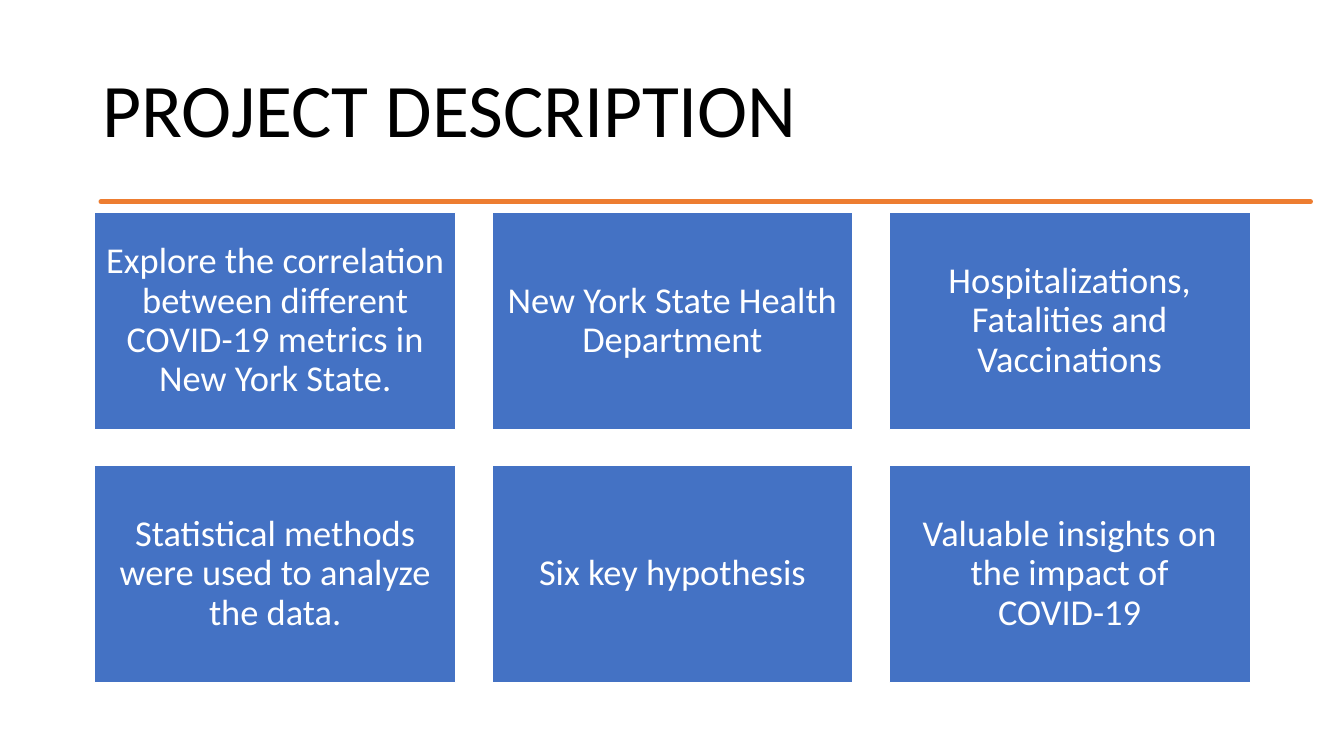
from pptx import Presentation
from pptx.dml.color import RGBColor
from pptx.enum.shapes import MSO_SHAPE
from pptx.enum.text import MSO_ANCHOR, PP_ALIGN
from pptx.util import Inches, Pt

TITLE = "PROJECT DESCRIPTION"
TOPICS = [
    ["Explore the correlation between different COVID-19 metrics in New York State.",
     "New York State Health Department",
     "Hospitalizations, Fatalities and Vaccinations"],
    ["Statistical methods were used to analyze the data.",
     "Six key hypothesis",
     "Valuable insights on the impact of COVID-19"],
]
COLORS = {"title": "000000", "tile": "4472C4", "tile_text": "FFFFFF",
          "tile_edge": "FFFFFF", "stroke": "ED7D31"}

SLIDE_W, SLIDE_H = 13.33, 7.5
TITLE_BOX = (0.92, 0.4, 11.5, 1.45)
GRID_LEFT, GRID_TOP = 0.94, 2.11
TILE_W, TILE_H = 3.58, 2.15
GAP = 0.36
TILE_INSET = 0.11

# Hand-drawn rule: (x, height in hundredths of an inch) along each edge
STROKE_Y = 1.83
UPPER_EDGE = [(0.73, 0), (1.0, -1), (1.24, 0), (1.98, 0), (2.4, -1), (3.4, 0),
              (4.15, -2), (4.5, -1), (4.85, 1), (5.2, 0), (5.55, -1), (5.9, 0),
              (6.46, 0), (7.1, -1), (7.44, 0), (7.75, 1), (8.3, -1.5), (8.7, 0),
              (9.2, -1), (9.75, 0), (10.3, -1), (10.9, 0), (11.6, -1), (12.6, 0)]
LOWER_EDGE = [(12.6, 2), (12.2, 3), (11.5, 2), (10.85, 4.5), (10.4, 3), (9.99, 2),
              (9.65, 3), (8.63, 2), (8.0, 2), (7.5, 3.5), (7.0, 2), (6.5, 3),
              (5.9, 2), (5.15, 3), (4.8, 3), (4.4, 3), (4.14, 2), (3.7, 3),
              (3.28, 2), (2.78, 2), (2.2, 4), (1.8, 2), (1.3, 1), (0.73, 2)]


def rgb(name):
    return RGBColor.from_string(COLORS[name])


def write(shape, text, size, color, align, inset):
    frame = shape.text_frame
    layout = {"word_wrap": True, "vertical_anchor": MSO_ANCHOR.MIDDLE,
              "margin_left": Inches(inset), "margin_right": Inches(inset),
              "margin_top": Inches(inset), "margin_bottom": Inches(inset)}
    for key, value in layout.items():
        setattr(frame, key, value)
    paragraph = frame.paragraphs[0]
    paragraph.text = text
    paragraph.alignment = align
    paragraph.line_spacing = 0.9
    paragraph.font.color.rgb = rgb(color)
    for key, value in {"name": "Calibri", "size": Pt(size)}.items():
        setattr(paragraph.font, key, value)


def paint(shape, fill, edge, width):
    shape.shadow.inherit = False
    shape.fill.solid()
    shape.fill.fore_color.rgb = rgb(fill)
    shape.line.color.rgb = rgb(edge)
    shape.line.width = Pt(width)


def add_stroke(slide):
    start, *rest = [(x, STROKE_Y + rise / 100) for x, rise in UPPER_EDGE + LOWER_EDGE]
    builder = slide.shapes.build_freeform(*start, scale=Inches(1))
    builder.add_line_segments(rest, close=True)
    paint(builder.convert_to_shape(), "stroke", "stroke", 3.25)


def add_tile(slide, row, column, topic):
    left = GRID_LEFT + column * (TILE_W + GAP)
    top = GRID_TOP + row * (TILE_H + GAP)
    tile = slide.shapes.add_shape(
        MSO_SHAPE.RECTANGLE, *map(Inches, (left, top, TILE_W, TILE_H)))
    paint(tile, "tile", "tile_edge", 1)
    write(tile, topic, 26, "tile_text", PP_ALIGN.CENTER, TILE_INSET)


def main():
    deck = Presentation()
    deck.slide_width, deck.slide_height = Inches(SLIDE_W), Inches(SLIDE_H)
    slide = deck.slides.add_slide(deck.slide_layouts[6])
    title = slide.shapes.add_textbox(*map(Inches, TITLE_BOX))
    write(title, TITLE, 54, "title", PP_ALIGN.LEFT, 0.1)
    add_stroke(slide)
    for row, topics in enumerate(TOPICS):
        for column, topic in enumerate(topics):
            add_tile(slide, row, column, topic)
    deck.save("out.pptx")


if __name__ == "__main__":
    main()
